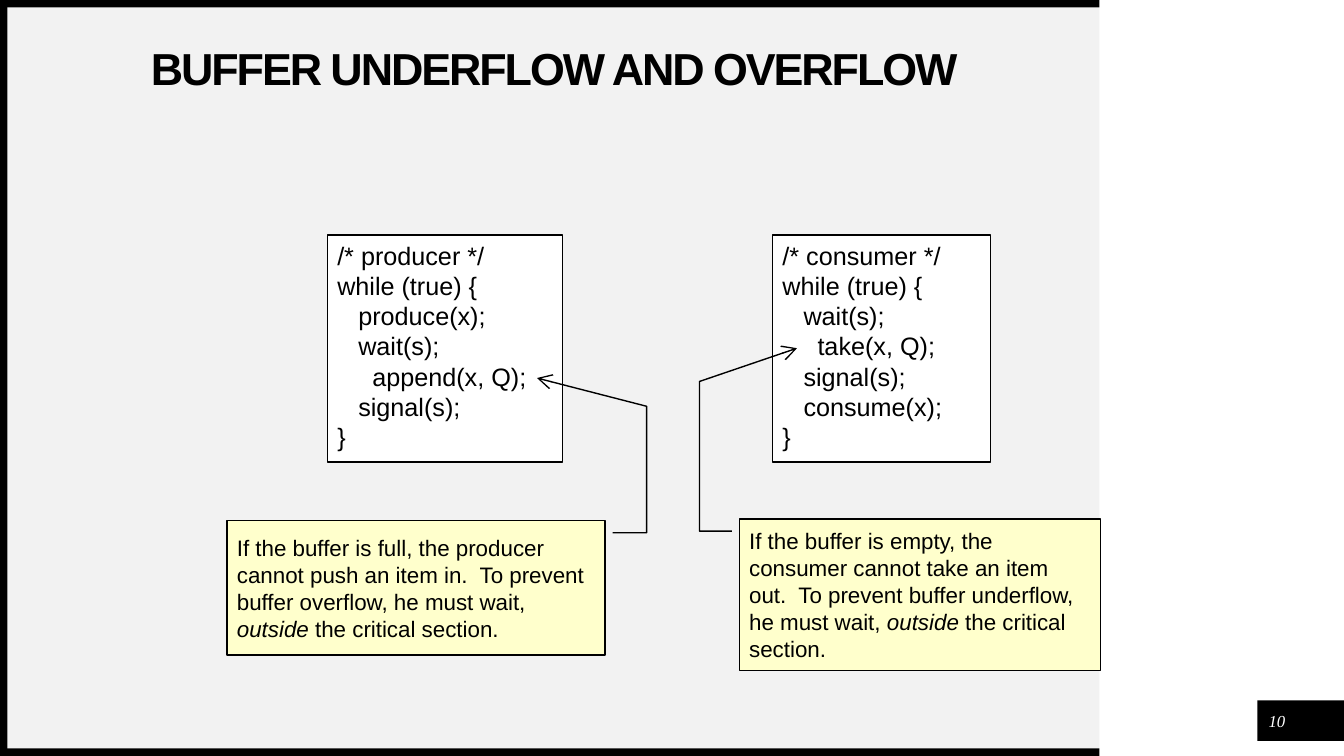
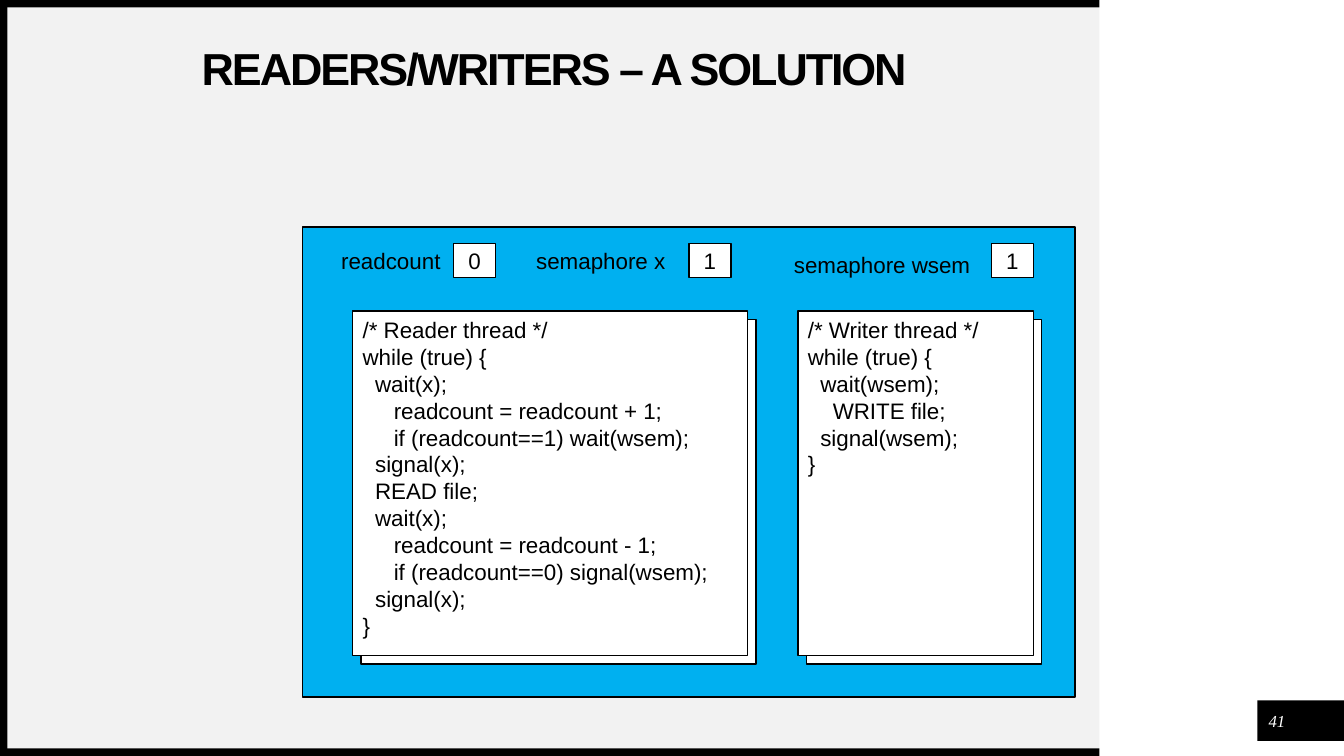
from lxml import etree
from pptx import Presentation
from pptx.dml.color import RGBColor
from pptx.enum.shapes import MSO_SHAPE
from pptx.enum.text import MSO_ANCHOR, PP_ALIGN
from pptx.oxml.ns import qn
from pptx.util import Cm, Pt

RECT = MSO_SHAPE.RECTANGLE
CALLOUT = MSO_SHAPE.LINE_CALLOUT_3
LEFT, CENTER = PP_ALIGN.LEFT, PP_ALIGN.CENTER
TOP, MIDDLE = MSO_ANCHOR.TOP, MSO_ANCHOR.MIDDLE

BLACK = RGBColor(0x00, 0x00, 0x00)
WHITE = RGBColor(0xFF, 0xFF, 0xFF)
PAPER = RGBColor(0xF2, 0xF2, 0xF2)
NOTE_YELLOW = RGBColor(0xFF, 0xFF, 0xCC)
MEMORY_BLUE = RGBColor(0x00, 0xB0, 0xF0)

SLIDE_W, SLIDE_H = 33.87, 19.05
PAPER_W = 27.71
EDGE = 0.19
SPACE_EM = 0.278
STACK_OFFSET = 0.21

PRODUCER = [(0, "/* producer */"), (0, "while (true) {"), (3, "produce(x);"),
            (3, "wait(s);"), (5, "append(x, Q);"), (3, "signal(s);"), (0, "}")]
CONSUMER = [(0, "/* consumer */"), (0, "while (true) {"), (3, "wait(s);"),
            (5, "take(x, Q);"), (3, "signal(s);"), (3, "consume(x);"), (0, "}")]
READER = [(0, "/* Reader thread */"), (0, "while (true) {"), (2, "wait(x);"),
          (5, "readcount = readcount + 1;"),
          (5, "if (readcount==1) wait(wsem);"), (2, "signal(x);"),
          (2, "READ file;"), (2, "wait(x);"),
          (5, "readcount = readcount - 1;"),
          (5, "if (readcount==0) signal(wsem);"), (2, "signal(x);"), (0, "}")]
WRITER = [(0, "/* Writer thread */"), (0, "while (true) {"), (2, "wait(wsem);"),
          (4, "WRITE file;"), (2, "signal(wsem);"), (0, "}")]

FULL_NOTE = ("If the buffer is full, the producer cannot push an item in.  "
             "To prevent buffer overflow, he must wait, "
             "outside the critical section.")
EMPTY_NOTE = ("If the buffer is empty, the consumer cannot take an item out.  "
              "To prevent buffer underflow, he must wait, "
              "outside the critical section.")


def write(shape, text, size=16, font="Arial", color=BLACK, bold=False,
          italic=False, emphasis=None, align=CENTER, anchor=MIDDLE,
          inset=True, tracking=None, line_spacing=None):
    frame = shape.text_frame
    frame.word_wrap = True
    frame.vertical_anchor = anchor
    frame.margin_left = frame.margin_right = Cm(0.25 if inset else 0)
    frame.margin_top = frame.margin_bottom = Cm(0.13 if inset else 0)
    lines = [(0, text)] if isinstance(text, str) else text
    for number, (indent, line) in enumerate(lines):
        paragraph = frame.add_paragraph() if number else frame.paragraphs[0]
        paragraph.alignment = align
        if line_spacing:
            paragraph.line_spacing = line_spacing
        if indent:
            margin = Pt(indent * size * SPACE_EM)
            paragraph._p.get_or_add_pPr().set("marL", str(margin))
        parts = line.partition(emphasis) if emphasis else (line,)
        for part in parts:
            run = paragraph.add_run()
            run.text = part
            run.font.size = Pt(size)
            run.font.name = font
            run.font.bold = bold
            run.font.italic = italic or part == emphasis
            run.font.color.rgb = color
            if tracking:
                run._r.get_or_add_rPr().set("spc", str(tracking))


def add_box(slide, left, top, width, height, fill, outlined=True, kind=RECT):
    box = slide.shapes.add_shape(kind, Cm(left), Cm(top), Cm(width), Cm(height))
    box.shadow.inherit = False
    box.fill.solid()
    box.fill.fore_color.rgb = fill
    if outlined:
        box.line.color.rgb = BLACK
        box.line.width = Pt(1)
    else:
        box.line.fill.background()
    return box


def add_label(slide, left, top, width, height, text, **style):
    label = slide.shapes.add_textbox(Cm(left), Cm(top), Cm(width), Cm(height))
    write(label, text, inset=False, **style)


def add_code(slide, left, top, width, height, code, size, stacked=False):
    if stacked:
        add_box(slide, left + STACK_OFFSET, top + STACK_OFFSET, width, height,
                WHITE)
    listing = add_box(slide, left, top, width, height, WHITE)
    write(listing, code, size=size, align=LEFT, anchor=TOP)


def add_note(slide, left, top, width, height, text, pointer):
    note = add_box(slide, left, top, width, height, NOTE_YELLOW, kind=CALLOUT)
    for index, value in enumerate(pointer):
        note.adjustments[index] = value
    outline = note.element.spPr.find(qn("a:ln"))
    etree.SubElement(outline, qn("a:tailEnd"), type="arrow", w="lg", len="lg")
    write(note, text, emphasis="outside", align=LEFT)


def add_frame(deck, title, number):
    slide = deck.slides.add_slide(deck.slide_layouts[6])
    add_box(slide, EDGE, EDGE, PAPER_W - EDGE, SLIDE_H - 2 * EDGE, PAPER,
            outlined=False)
    add_box(slide, 31.69, 17.65, SLIDE_W - 31.69, 1.02, BLACK, outlined=False)
    for top in (0, SLIDE_H - EDGE):
        add_box(slide, 0, top, PAPER_W, EDGE, BLACK, outlined=False)
    add_box(slide, 0, 0, EDGE, SLIDE_H, BLACK, outlined=False)
    add_label(slide, 1.19, 1.19, 25.55, 1.19, title, size=32, bold=True,
              tracking=-150, line_spacing=0.9)
    add_label(slide, 31.8, 17.78, 0.76, 0.76, number, size=12,
              font="Times New Roman", color=WHITE, italic=True)
    return slide


def add_shared_memory(slide, left, top, width, height):
    add_box(slide, left, top, width, height, MEMORY_BLUE)
    variables = [("readcount", "0", 0.73, 0.42, 3, 3.81),
                 ("semaphore x", "1", 5.52, 0.42, 4, 9.74),
                 ("semaphore wsem", "1", 12.11, 0.53, 5, 17.36)]
    for name, value, name_dx, name_dy, name_w, value_dx in variables:
        add_label(slide, left + name_dx, top + name_dy, name_w, 0.85, name)
        counter = add_box(slide, left + value_dx, top + 0.42, 1.06, 0.85, WHITE)
        write(counter, value)
    for code, dx, code_w in ((READER, 1.27, 9.95), (WRITER, 12.49, 5.93)):
        add_code(slide, left + dx, top + 2.12, code_w, 8.68, code, 16,
                 stacked=True)


def build_buffer_slide(deck):
    slide = add_frame(deck, "BUFFER UNDERFLOW AND OVERFLOW", "10")
    add_code(slide, 8.25, 5.92, 5.92, 5.72, PRODUCER, 18)
    add_code(slide, 19.47, 5.92, 5.5, 5.72, CONSUMER, 18)
    add_note(slide, 18.63, 13.08, 9.1, 3.81, EMPTY_NOTE,
             (0.08, -0.02, 0.08, -0.11, -0.91, -0.11, -1.13, 0.16))
    add_note(slide, 5.72, 13.12, 9.53, 3.39, FULL_NOTE,
             (0.09, 1.02, 0.09, 1.11, -0.85, 1.11, -1.06, 0.82))


def build_readers_slide(deck):
    slide = add_frame(deck, "READERS/WRITERS – A SOLUTION", "41")
    add_shared_memory(slide, 7.62, 5.72, 19.47, 11.85)


def main():
    deck = Presentation()
    deck.slide_width, deck.slide_height = Cm(SLIDE_W), Cm(SLIDE_H)
    build_buffer_slide(deck)
    build_readers_slide(deck)
    deck.save("out.pptx")


if __name__ == "__main__":
    main()
